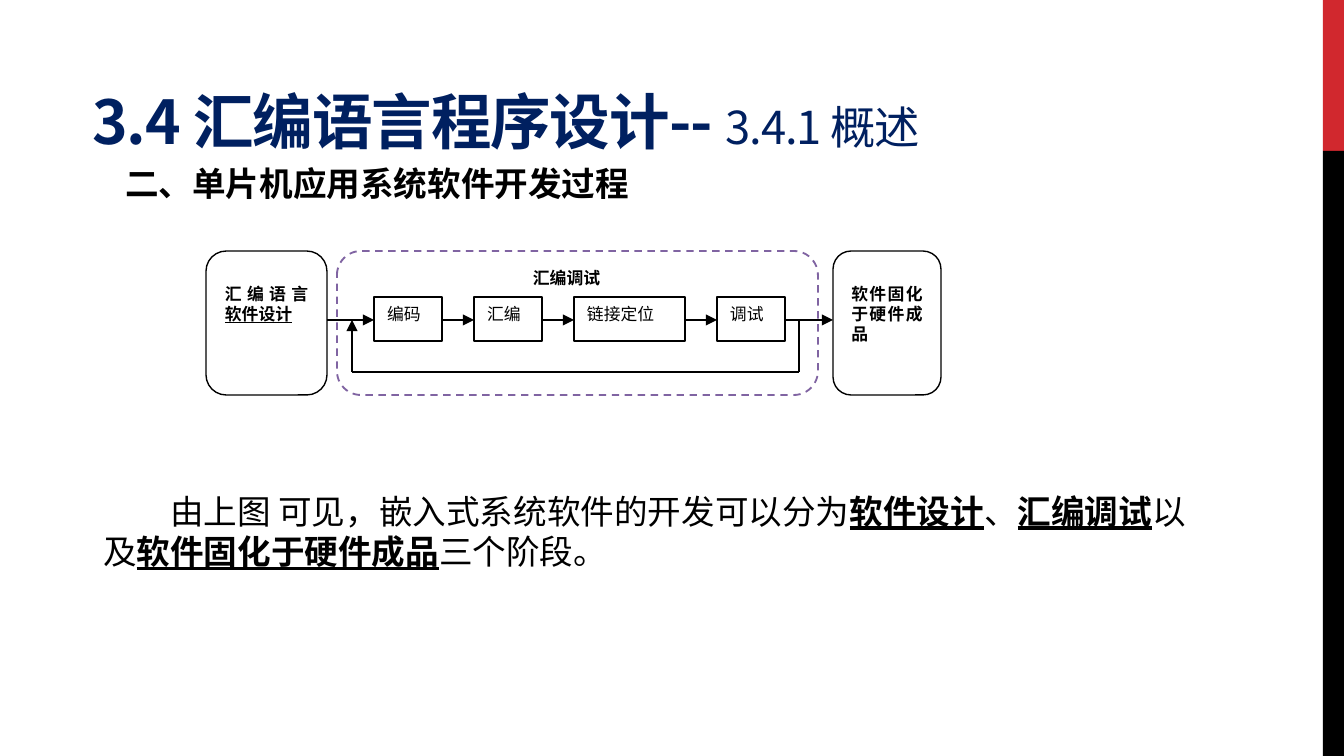
import pptx
import pptx.util
import pptx.dml.color
import pptx.enum.dml
import pptx.enum.lang
import pptx.enum.shapes
import pptx.enum.text
import pptx.oxml.ns
from lxml import etree

EMU_PER_PX = 914400 / 134.4
COLORS = {"red": "D1282E", "black": "000000", "white": "FFFFFF",
          "navy": "002060", "purple": "8064A2"}
LATIN = "Calibri"
HAN = "Noto Sans CJK SC"
SHAPES = pptx.enum.shapes.MSO_SHAPE
ALIGN = pptx.enum.text.PP_ALIGN
ANCHOR = pptx.enum.text.MSO_ANCHOR


def px(length):
    return pptx.util.Emu(round(length * EMU_PER_PX))


def color(name):
    return pptx.dml.color.RGBColor.from_string(COLORS[name])


def child(parent, tag, **attributes):
    return etree.SubElement(parent, pptx.oxml.ns.qn(tag), **attributes)


def add_span(para, text, size=9, font=LATIN, ink="black", bold=False,
             underline=False, spacing=None):
    span = para.add_run()
    span.text = text
    span.font.size = pptx.util.Pt(size)
    span.font.bold = bold
    span.font.underline = underline
    span.font.color.rgb = color(ink)
    span.font.name = font
    span.font.language_id = pptx.enum.lang.MSO_LANGUAGE_ID.SIMPLIFIED_CHINESE
    properties = span.font._element
    child(properties, "a:ea", typeface=font)
    if spacing is not None:
        properties.set("spc", str(spacing))


def fill_text(shape, spans, align=ALIGN.LEFT, anchor=ANCHOR.TOP,
              insets=(13, 7, 13, 7), indent=0):
    """Write (text, format) pairs as one paragraph; insets run left, top, right, bottom."""
    frame = shape.text_frame
    frame.word_wrap = True
    frame.vertical_anchor = anchor
    (frame.margin_left, frame.margin_top,
     frame.margin_right, frame.margin_bottom) = map(px, insets)
    para = frame.paragraphs[0]
    para.alignment = align
    if indent:
        para._p.get_or_add_pPr().set("indent", str(px(indent)))
    for text, style in spans:
        add_span(para, text, **style)


def add_text(page, place, spans, **layout):
    box = page.shapes.add_textbox(*map(px, place))
    fill_text(box, spans, **layout)


def add_box(page, kind, place, fill="white", line=None, width=0.75, dashed=False):
    box = page.shapes.add_shape(kind, *map(px, place))
    box.shadow.inherit = False
    box.fill.solid()
    box.fill.fore_color.rgb = color(fill)
    if line is None:
        box.line.fill.background()
        return box
    box.line.color.rgb = color(line)
    box.line.width = pptx.util.Pt(width)
    if dashed:
        box.line.dash_style = pptx.enum.dml.MSO_LINE.DASH
    return box


def add_line(page, start, end, width=0.75, arrow=True):
    line = page.shapes.add_connector(pptx.enum.shapes.MSO_CONNECTOR.STRAIGHT,
                                     *map(px, start + end))
    line.line.color.rgb = color("black")
    line.line.width = pptx.util.Pt(width)
    if arrow:
        child(line.line._get_or_add_ln(), "a:tailEnd", type="triangle")
    child(line._element.spPr, "a:effectLst")


def add_flow(page):
    top, height, middle, bottom = 251, 144, 320, 372
    bold = {"bold": True}

    # Outer stages: design, debugging, finished product
    stages = [
        (206, 121, (13, 27, 13, 7), "black", 0.75,
         [("汇编语言", bold), ("软件设计", {"bold": True, "underline": True})]),
        (833, 108, (13, 27, 13, 7), "black", 0.75, [("软件固化于硬件成品", bold)]),
        (337, 481, (189, 10, 13, 7), "purple", 1, [("汇编调试", bold)]),
    ]
    for left, width, insets, line, weight, spans in stages:
        stage = add_box(page, SHAPES.FLOWCHART_ALTERNATE_PROCESS,
                        (left, top, width, height), line=line, width=weight,
                        dashed=line == "purple")
        fill_text(stage, spans, align=ALIGN.JUSTIFY, insets=insets)

    # Inner steps, each with the arrow that leads into it
    previous_right = 327
    for left, width, label in [(374, 68, "编码"), (474, 68, "汇编"),
                               (574, 111, "链接定位"), (717, 68, "调试")]:
        step = add_box(page, SHAPES.RECTANGLE, (left, 297, width, 44), line="black")
        fill_text(step, [(label, {})], align=ALIGN.JUSTIFY)
        add_line(page, (previous_right, middle), (left, middle),
                 width=1 if label == "编码" else 0.75)
        previous_right = left + width
    add_line(page, (previous_right, middle), (833, middle), width=1)

    # Feedback loop from debugging to coding
    back, out = 352, 799
    add_line(page, (back, bottom), (back, middle))
    add_line(page, (back, bottom), (out, bottom), arrow=False)
    add_line(page, (out, bottom), (out, middle), arrow=False)


def main():
    deck = pptx.Presentation()
    deck.slide_width, deck.slide_height = px(1344), px(756)
    page = deck.slides.add_slide(deck.slide_layouts[6])

    # Side band
    add_box(page, SHAPES.RECTANGLE, (1323, 0, 21, 151), fill="red")
    add_box(page, SHAPES.RECTANGLE, (1323, 151, 21, 605), fill="black")

    # Headings
    title = {"font": HAN, "ink": "navy", "spacing": -60}
    add_text(page, (79, 67, 1185, 93),
             [("3.4 汇编语言程序设计-- ", {"size": 32.4, "bold": True, **title}),
              ("3.4.1 概述", {"size": 24.3, **title})],
             anchor=ANCHOR.BOTTOM, insets=(13, 0, 13, 3))
    add_text(page, (112, 156, 1111, 95),
             [("二、单片机应用系统软件开发过程", {"size": 18, "bold": True})])

    # Conclusion
    plain = {"size": 18}
    strong = {"size": 18, "bold": True, "underline": True}
    add_text(page, (90, 484, 1111, 95),
             [("由上图 可见，嵌入式系统软件的开发可以分为", plain),
              ("软件设计", strong), ("、", plain), ("汇编调试", strong),
              ("以及", plain), ("软件固化于硬件成品", strong),
              ("三个阶段。", plain)], indent=67)

    add_flow(page)
    deck.save("out.pptx")


if __name__ == "__main__":
    main()
